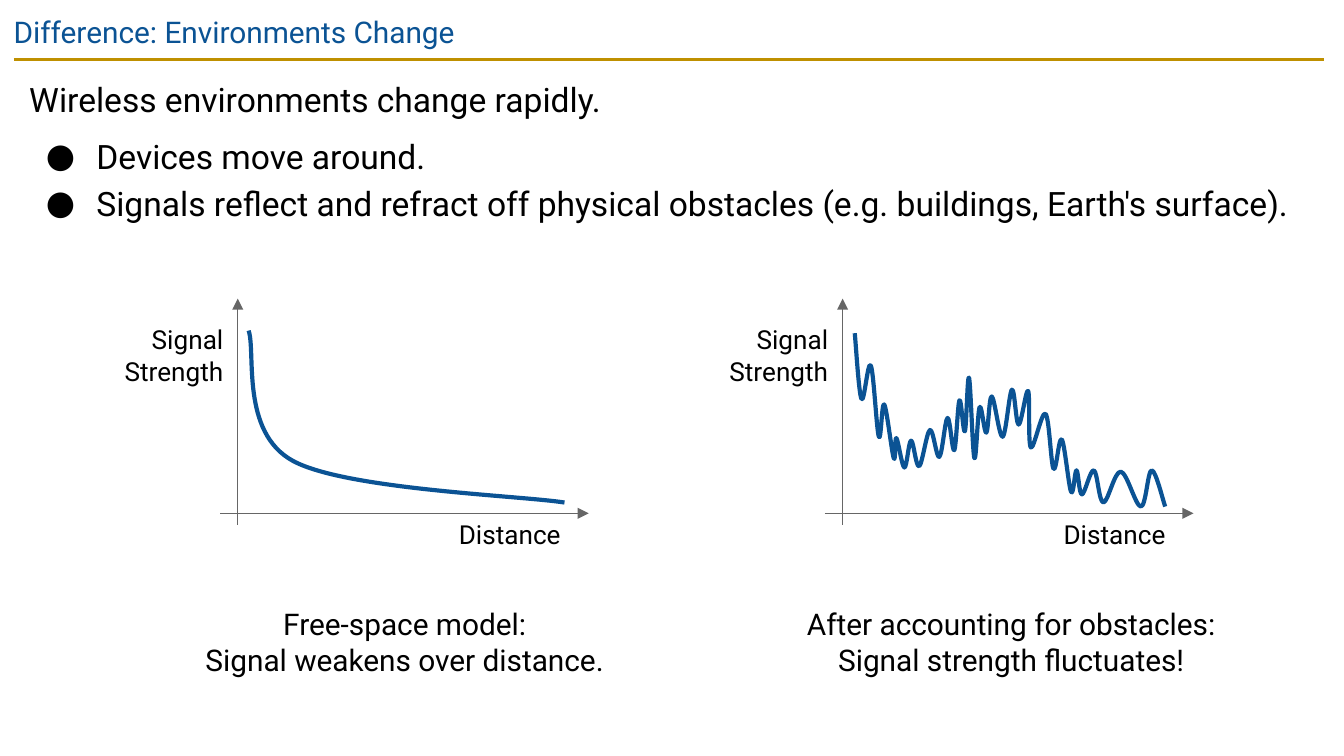
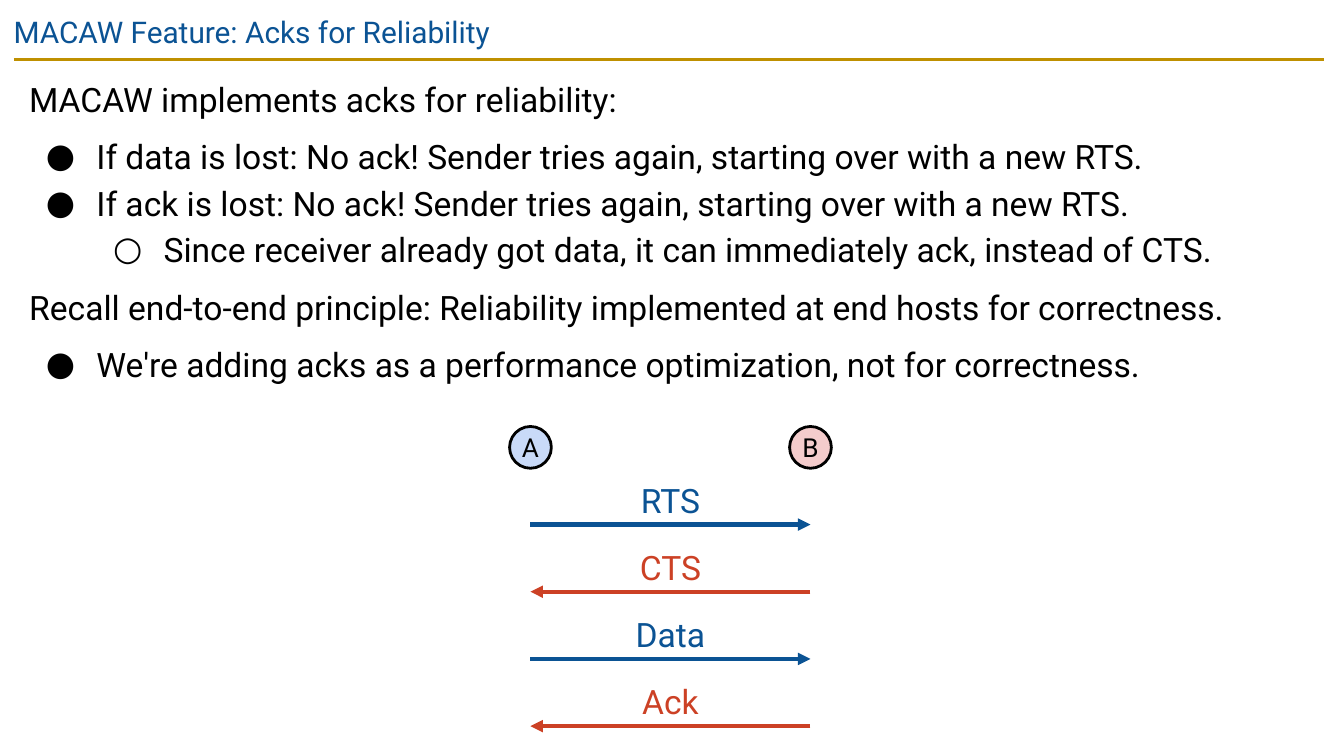
from lxml import etree
from pptx import Presentation
from pptx.dml.color import RGBColor
from pptx.enum import shapes, text
from pptx.oxml.ns import qn
from pptx.util import Pt

FONT = "Roboto"
BLACK, BLUE, RED, GOLD, GRAY = "000000", "0B5394", "CC4125", "BF9000", "666666"
LEFT, CENTER, RIGHT = text.PP_ALIGN.LEFT, text.PP_ALIGN.CENTER, text.PP_ALIGN.RIGHT

# Body lines are (level, wording): level 0 is plain, 1 and 2 are bulleted
BULLETS = {1: "●", 2: "○"}
ENVIRONMENTS = {
    "title": "Difference: Environments Change",
    "body_height": 111,
    "body": [
        (0, "Wireless environments change rapidly."),
        (1, "Devices move around."),
        (1, "Signals reflect and refract off physical obstacles "
            "(e.g. buildings, Earth's surface)."),
    ],
}
ACKS = {
    "title": "MACAW Feature: Acks for Reliability",
    "body_height": 187,
    "body": [
        (0, "MACAW implements acks for reliability:"),
        (1, "If data is lost: No ack! Sender tries again, starting over with a new RTS."),
        (1, "If ack is lost: No ack! Sender tries again, starting over with a new RTS."),
        (2, "Since receiver already got data, it can immediately ack, instead of CTS."),
        (0, "Recall end-to-end principle: Reliability implemented at end hosts "
            "for correctness."),
        (1, "We're adding acks as a performance optimization, not for correctness."),
    ],
}

# Curve points are (distance, strength), in points from where the axes cross
AXES_Y = 275
GRAPHS = [
    {
        "axes_x": 127.4,
        "caption_x": 99.5,
        "caption": "Free-space model:\nSignal weakens over distance.",
        "curve": [(5.8, 97.9), (29.5, 28.1), (175, 5.8)],
    },
    {
        "axes_x": 451.4,
        "caption_x": 424.4,
        "caption": "After accounting for obstacles: Signal strength fluctuates!",
        "curve": [
            (6.5, 96.5), (10.1, 61.2), (15.1, 79.2), (19.4, 41), (22.3, 58.3),
            (27.4, 29.5), (28.8, 40.3), (33.1, 24.5), (36.7, 38.9), (41, 25.2),
            (46.8, 44.6), (51.8, 30.2), (56.2, 51.1), (59.8, 33.8), (62.6, 60.5),
            (65.5, 43.9), (67.7, 72.7), (70.6, 29.5), (73.4, 56.9), (77, 43.2),
            (79.9, 62.6), (85.7, 41), (90.7, 66.2), (94.3, 47.5), (99.4, 65.5),
            (100.8, 35.3), (108.7, 53.3), (113, 23.8), (117.4, 39.6), (122.4, 11.5),
            (125.3, 23), (128.2, 10.1), (134.6, 23), (139.7, 5.8), (149, 22.3),
            (159.8, 3.6), (165.6, 23), (172.8, 3.6),
        ],
    },
]

# Hosts are (name, centre x, fill); messages are (name, from, to, colour)
HOSTS = [("A", 284.2, "C9DAF8"), ("B", 434.2, "F4CCCC")]
MESSAGES = [("RTS", "A", "B", BLUE), ("CTS", "B", "A", RED),
            ("Data", "A", "B", BLUE), ("Ack", "B", "A", RED)]


def rgb(color):
    return RGBColor.from_string(color)


def style(paragraph, size, color, align=LEFT):
    paragraph.alignment = align
    paragraph.font.name = FONT
    paragraph.font.size = Pt(size)
    paragraph.font.color.rgb = rgb(color)


def text_frame(slide, x, y, width, height, inset):
    box = slide.shapes.add_textbox(Pt(x), Pt(y), Pt(width), Pt(height))
    frame = box.text_frame
    frame.word_wrap = True
    frame.margin_left = frame.margin_right = Pt(inset)
    frame.margin_top = frame.margin_bottom = Pt(inset)
    return frame


def add_label(slide, wording, x, y, width, height, size, color=BLACK,
              align=CENTER, inset=2):
    frame = text_frame(slide, x, y, width, height, inset)
    paragraph = frame.paragraphs[0]
    paragraph.text = wording
    style(paragraph, size, color, align)


def add_line(slide, start, end, color, width, arrow=False):
    line = slide.shapes.add_connector(
        shapes.MSO_CONNECTOR.STRAIGHT, *(Pt(v) for v in (*start, *end)))
    line.line.color.rgb = rgb(color)
    line.line.width = Pt(width)
    if arrow:
        outline = line.line._get_or_add_ln()
        etree.SubElement(outline, qn("a:tailEnd"), type="triangle")
    etree.SubElement(line._element.spPr, qn("a:effectLst"))


def add_body(slide, lines, height):
    frame = text_frame(slide, 8.6, 31.7, 701.3, height, 7.2)
    previous = None
    for level, wording in lines:
        first = previous is None
        paragraph = frame.paragraphs[0] if first else frame.add_paragraph()
        paragraph.text = wording
        paragraph.line_spacing = 1.15
        # A gap surrounds each plain line; bullets follow each other closely
        gap = not first and 0 in (level, previous)
        paragraph.space_before = Pt(6 if gap else 0)
        if level:
            paragraph.level = level - 1
            props = paragraph._p.get_or_add_pPr()
            props.set("marL", str(Pt(36 * level)))
            props.set("indent", str(Pt(-27)))
            bullet_color = etree.SubElement(props, qn("a:buClr"))
            etree.SubElement(bullet_color, qn("a:srgbClr"), val=BLACK)
            etree.SubElement(props, qn("a:buFont"), typeface=FONT)
            etree.SubElement(props, qn("a:buChar"), char=BULLETS[level])
        style(paragraph, 18, BLACK)
        previous = level


def add_slide(deck, content):
    slide = deck.slides.add_slide(deck.slide_layouts[6])
    add_line(slide, (7.5, 31.8), (709.2, 31.8), GOLD, 1.5)
    add_label(slide, content["title"], 0.2, 0, 719.8, 31, 16, BLUE, LEFT, 7.2)
    add_body(slide, content["body"], content["body_height"])
    return slide


def smooth(freeform):
    """Turn the straight segments into Bézier curves through the same points."""
    outline = freeform._element.find(".//" + qn("a:path"))
    points = [(int(pt.get("x")), int(pt.get("y"))) for pt in outline.iter(qn("a:pt"))]
    padded = [points[0], *points, points[-1]]
    for segment in outline.findall(qn("a:lnTo")):
        outline.remove(segment)
    for before, start, end, after in zip(padded, padded[1:], padded[2:], padded[3:]):
        leave = [s + (e - b) / 6 for b, s, e in zip(before, start, end)]
        arrive = [e - (a - s) / 6 for s, e, a in zip(start, end, after)]
        bezier = etree.SubElement(outline, qn("a:cubicBezTo"))
        for x, y in (leave, arrive, end):
            etree.SubElement(bezier, qn("a:pt"), x=str(round(x)), y=str(round(y)))


def add_graph(slide, axes_x, caption_x, caption, curve):
    # Axes
    add_line(slide, (axes_x, 281), (axes_x, 160), GRAY, 0.75, arrow=True)
    add_line(slide, (axes_x - 9.5, AXES_Y), (axes_x + 188, AXES_Y), GRAY, 0.75, arrow=True)
    # Curve
    start, *rest = [(Pt(axes_x + distance), Pt(AXES_Y - strength))
                    for distance, strength in curve]
    builder = slide.shapes.build_freeform(*start)
    builder.add_line_segments(rest, close=False)
    signal = builder.convert_to_shape()
    smooth(signal)
    signal.shadow.inherit = False
    signal.fill.background()
    signal.line.color.rgb = rgb(BLUE)
    signal.line.width = Pt(2.25)
    # Labels
    add_label(slide, "Distance", axes_x + 113.8, 275.8, 61.2, 21.6, 14, align=RIGHT)
    add_label(slide, "Signal Strength", axes_x - 66.9, 171.4, 61.2, 38, 14, align=RIGHT)
    add_label(slide, caption, caption_x, 322.6, 234.7, 43, 16)


def add_exchange(slide):
    # Hosts
    diameter = 22.4
    for name, x, fill in HOSTS:
        host = slide.shapes.add_shape(
            shapes.MSO_SHAPE.OVAL, Pt(x - diameter / 2), Pt(228.5),
            Pt(diameter), Pt(diameter))
        host.shadow.inherit = False
        host.fill.solid()
        host.fill.fore_color.rgb = rgb(fill)
        host.line.color.rgb = rgb(BLACK)
        host.line.width = Pt(1.5)
        frame = host.text_frame
        frame.margin_left = frame.margin_right = 0
        frame.margin_top = frame.margin_bottom = 0
        frame.vertical_anchor = text.MSO_ANCHOR.MIDDLE
        frame.text = name
        style(frame.paragraphs[0], 14, BLACK, CENTER)
    # Messages
    host_x = {name: x for name, x, _ in HOSTS}
    for row, (name, sender, receiver, color) in enumerate(MESSAGES):
        y = 281 + 36 * row
        add_line(slide, (host_x[sender], y), (host_x[receiver], y), color, 2.25, arrow=True)
        middle = (host_x[sender] + host_x[receiver]) / 2
        add_label(slide, name, middle - 27.7, y - 26, 55.4, 26, 18, color)


def main():
    deck = Presentation()
    deck.slide_width, deck.slide_height = Pt(720), Pt(405)
    environments = add_slide(deck, ENVIRONMENTS)
    for graph in GRAPHS:
        add_graph(environments, **graph)
    add_exchange(add_slide(deck, ACKS))
    deck.save("out.pptx")


if __name__ == "__main__":
    main()
